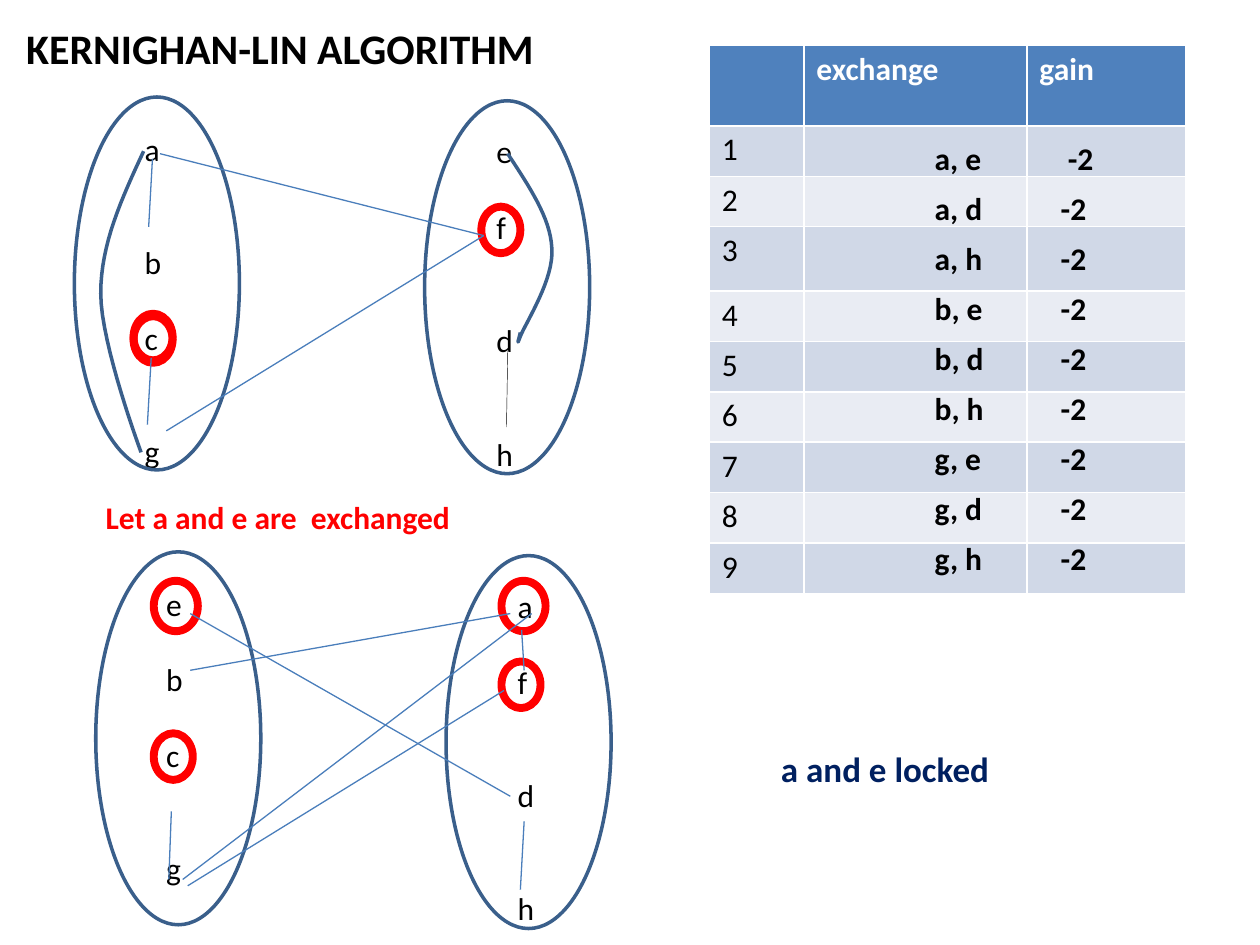
"""Build a slide on one exchange step of the Kernighan-Lin algorithm."""
from dataclasses import dataclass

from lxml.etree import SubElement
from pptx import Presentation
from pptx.dml.color import RGBColor as Color
from pptx.enum.shapes import MSO_CONNECTOR as Connector, MSO_SHAPE as Preset
from pptx.oxml.ns import qn
from pptx.util import Inches, Pt

WIDTH, HEIGHT = Inches(10), Inches(7.5)
COLUMNS = 100


@dataclass(frozen=True)
class Theme:
    """Colours and type sizes of the slide."""
    font: str = "Calibri"
    black: str = "000000"
    white: str = "FFFFFF"
    red: str = "FF0000"
    navy: str = "002060"
    outline: str = "3A5F8B"
    edge: str = "4A7EBB"
    header: str = "4F81BD"
    bands: tuple = ("D0D8E7", "E9ECF3")
    title: int = 24
    note: int = 20
    body: int = 18
    line_height: float = 1.2


THEME = Theme()
PARTITIONS = ((5.9, 7.7), (33.7, 8))
LETTER_BOXES = ((10.5, 9.8), (38.4, 10))
SECOND_SHIFT = (1.7, 36.1)
GAIN_TAB = 10
PAIRS = [f"{left}, {right}" for left in "abg" for right in "edh"]

FIRST_LETTERS = ({0: "a", 3: "b", 5: "c", 8: "g"}, {0: "e", 2: "f", 5: "d", 8: "h"})
SECOND_LETTERS = ({0: "e", 2: "b", 4: "c", 7: "g"}, {0: "a", 2: "f", 5: "d", 8: "h"})
FIRST_LOCKS = ((10.6, 24.9, 3.1, 3.7), (38.2, 16.4, 3.1, 3.7), (10.6, 25.1, 3.1, 3.7))
SECOND_LOCKS = ((12.2, 46.1, 3.5, 4), (39.8, 46.1, 3.5, 4),
                (12.2, 58.2, 3.1, 3.7), (39.8, 52.5, 3.1, 3.7))
FIRST_EDGES = ((13.2, 34.2, 38.4, 18.7), (12.1, 12.6, 11.8, 18),
               (12, 28.4, 11.7, 33.7), (12.7, 12.2, 38.4, 18.7))
SECOND_EDGES = ((41.4, 50, 41.6, 53.2), (14.9, 70.3, 40, 54.8), (13.6, 64.4, 13.4, 69.8),
                (41.6, 65.2, 41.3, 70.6), (15.1, 48.7, 40.5, 63.2),
                (15.1, 53.2, 40.5, 48.7), (14.5, 69.8, 42.2, 48.7))
CURVE_A_G = ((11.4, 12), (9.7, 15.7), (8, 19.3), (8, 23.3),
             (8, 27.3), (11.2, 35.9), (11.2, 35.9))
CURVE_E_D = ((40.3, 12.2), (42, 14.8), (43.7, 17.3), (43.8, 19.7), (44, 22.1),
             (41.8, 25.5), (41.3, 26.7), (40.9, 27.8), (41.3, 26.5), (41.3, 26.4))


def grid(*values):
    """Turn grid columns or rows into slide lengths."""
    return [round(WIDTH * value / COLUMNS) for value in values]


def write(paragraph, text, size=THEME.body, color=THEME.black, bold=False,
          before=0, after=0, tab=None):
    """Write one formatted run into a paragraph, with an optional tab stop."""
    paragraph.space_before, paragraph.space_after = Pt(before), Pt(after)
    if tab:
        stops = SubElement(paragraph._p.get_or_add_pPr(), qn("a:tabLst"))
        SubElement(stops, qn("a:tab"), pos=str(*grid(tab)), algn="l")
    run = paragraph.add_run()
    run.text = text
    font = run.font
    font.name, font.size, font.bold = THEME.font, Pt(size), bold
    font.color.rgb = Color.from_string(color)


def add_text(shapes, box, lines, gaps=None, **style):
    """Add a text box with one paragraph a line and optional gaps above them."""
    frame = shapes.add_textbox(*grid(*box)).text_frame
    frame.word_wrap = True
    for index, line in enumerate(lines):
        paragraph = frame.add_paragraph() if index else frame.paragraphs[0]
        write(paragraph, line, before=gaps[index] if gaps else 0, **style)


def add_letters(shapes, origin, letters):
    """Add a column of node letters placed on text rows."""
    rows = list(letters)
    pitch = THEME.body * THEME.line_height
    gaps = [0] + [(low - high - 1) * pitch for high, low in zip(rows, rows[1:])]
    add_text(shapes, (*origin, 3.9, 28), letters.values(), gaps)


def set_outline(shape, color, width):
    """Leave a shape unfilled and give it a plain outline."""
    shape.shadow.inherit = False
    shape.fill.background()
    shape.line.color.rgb = Color.from_string(color)
    shape.line.width = Pt(width)


def add_ellipse(shapes, box, color, width):
    """Add an outlined ellipse."""
    set_outline(shapes.add_shape(Preset.OVAL, *grid(*box)), color, width)


def add_edge(shapes, ends, color=THEME.edge, width=0.75):
    """Add a straight graph edge."""
    connector = shapes.add_connector(Connector.STRAIGHT, *grid(*ends))
    connector.line.color.rgb = Color.from_string(color)
    connector.line.width = Pt(width)
    SubElement(connector._element.spPr, qn("a:effectLst"))


def bezier(points, share):
    """Return the point of a cubic curve at a share of its run."""
    rest = 1 - share
    weights = (rest ** 3, 3 * rest ** 2 * share, 3 * rest * share ** 2, share ** 3)
    return [sum(weight * value for weight, value in zip(weights, axis))
            for axis in zip(*points)]


def add_curve(shapes, points, steps=16):
    """Add an open curve through chained cubic segments."""
    trail = [grid(*bezier(points[start:start + 4], step / steps))
             for start in range(0, len(points) - 1, 3)
             for step in range(1, steps + 1)]
    builder = shapes.build_freeform(*grid(*points[0]))
    builder.add_line_segments(trail, close=False)
    set_outline(builder.convert_to_shape(), THEME.outline, 2)


def add_graph(shapes, letters, locks, edges, shift=(0, 0)):
    """Add two partitions with their letters, locked nodes and edges."""
    def moved(point):
        """Shift a point of the first graph to this one."""
        return tuple(value + step for value, step in zip(point, shift))

    for box in locks:
        add_ellipse(shapes, box, THEME.red, 4.5)
    for origin, column in zip(LETTER_BOXES, letters):
        add_letters(shapes, moved(origin), column)
    for origin in PARTITIONS:
        add_ellipse(shapes, (*moved(origin), 13.1, 29.6), THEME.outline, 2)
    for ends in edges:
        add_edge(shapes, ends)


def add_gain_table(shapes):
    """Add the numbered table of exchanges and gains."""
    heights = [6.4] + [4] * len(PAIRS)
    heights[3] = 5.1
    labels = [("", "exchange", "gain")]
    labels += [(str(number), "", "") for number in range(1, len(heights))]
    frame = shapes.add_table(len(heights), 3, *grid(56.3, 3.6, 37.8, sum(heights)))
    table = frame.table
    for column, width in zip(table.columns, grid(7.5, 17.7, 12.6)):
        column.width = width
    for index, (row, height) in enumerate(zip(table.rows, grid(*heights))):
        row.height = height
        fill = THEME.bands[(index - 1) % 2] if index else THEME.header
        for cell, label in zip(row.cells, labels[index]):
            cell.margin_top = cell.margin_bottom = Inches(0.04)
            cell.fill.solid()
            cell.fill.fore_color.rgb = Color.from_string(fill)
            if label:
                write(cell.text_frame.paragraphs[0], label, bold=not index,
                      color=THEME.black if index else THEME.white)


def main():
    """Build and save the slide."""
    presentation = Presentation()
    presentation.slide_width, presentation.slide_height = WIDTH, HEIGHT
    shapes = presentation.slides.add_slide(presentation.slide_layouts[6]).shapes
    add_gain_table(shapes)
    add_text(shapes, (1.1, 1.3, 78.4, 5), ["KERNIGHAN-LIN ALGORITHM"],
             size=THEME.title, bold=True)
    gains = [f"{pair}\t{'-2' if index else ' -2'}" for index, pair in enumerate(PAIRS)]
    add_text(shapes, (73.2, 10.5, 19.7, 35.8), gains, bold=True, after=7, tab=GAIN_TAB)
    add_text(shapes, (7.4, 39, 41.5, 4), ["Let a and e are  exchanged"],
             color=THEME.red, bold=True)
    add_text(shapes, (61, 58.8, 24.3, 4.3), ["a and e locked"],
             size=THEME.note, color=THEME.navy, bold=True)
    add_graph(shapes, FIRST_LETTERS, FIRST_LOCKS, FIRST_EDGES)
    for points in (CURVE_A_G, CURVE_E_D):
        add_curve(shapes, points)
    add_edge(shapes, (40.3, 27.8, 40.2, 33.9), THEME.black, 0.25)
    add_graph(shapes.add_group_shape().shapes, SECOND_LETTERS, SECOND_LOCKS,
              SECOND_EDGES, SECOND_SHIFT)
    presentation.save("out.pptx")


if __name__ == "__main__":
    main()
